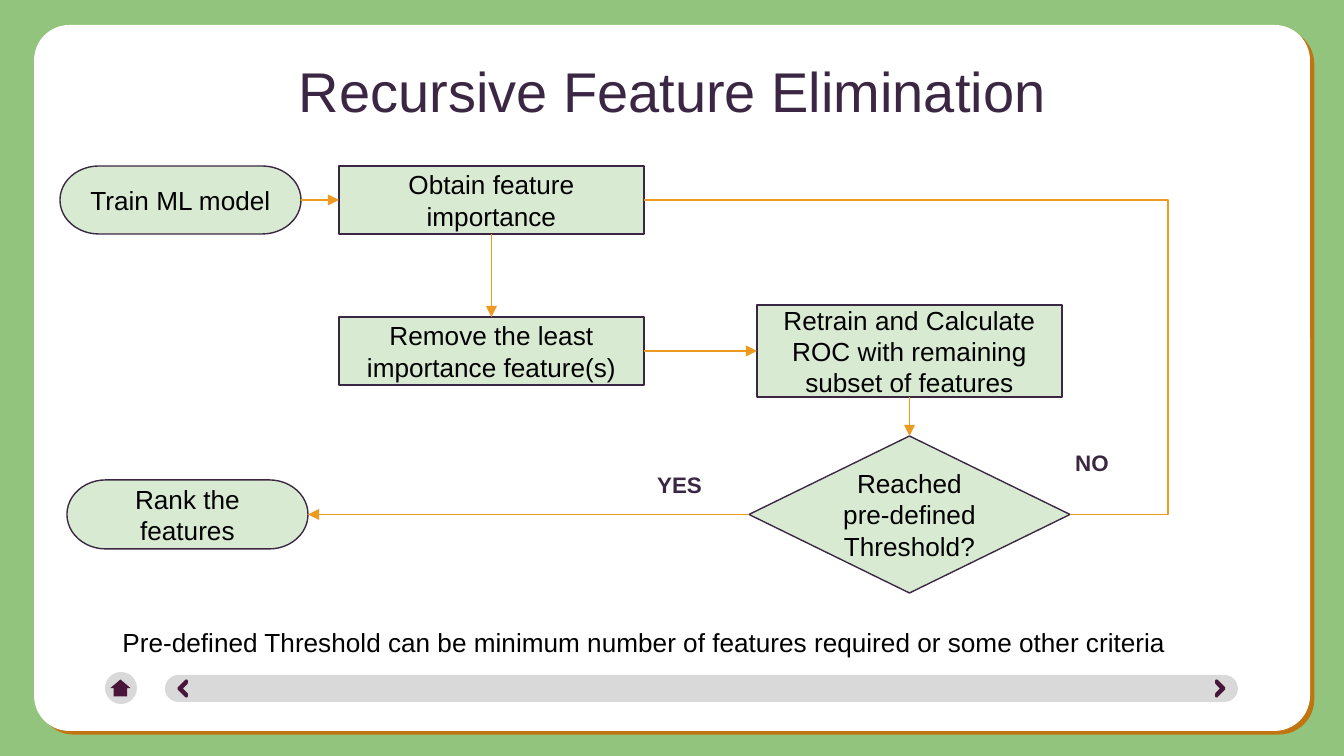
from dataclasses import dataclass

from lxml import etree
from pptx import Presentation
from pptx import util as u
from pptx.dml.color import RGBColor
from pptx.enum import shapes, text
from pptx.oxml import ns

SHAPE = shapes.MSO_SHAPE
TOP, LEFT, BOTTOM, RIGHT = range(4)


@dataclass(frozen=True)
class Theme:
    font: str = "Arial"
    page: str = "93C47D"
    card: str = "FFFFFF"
    shadow: str = "C17511"
    nav: str = "D9D9D9"
    icon: str = "47163A"
    node: str = "D9EAD3"
    dark: str = "3B2743"
    arrow: str = "ED9A20"
    ink: str = "000000"
    title_size: int = 30
    body_size: int = 14
    label_size: int = 12
    thin: float = 0.75
    thick: float = 1.5
    inset: float = 0.1


def px(n):
    """Convert pixels to EMU at 134.4 pixels per inch."""
    return u.Emu(round(n * 914400 / 134.4))


def child(parent, tag, **attrs):
    return etree.SubElement(parent, ns.qn(tag), attrs)


class Deck:
    def __init__(self, theme):
        self.theme = theme
        self.prs = Presentation()
        self.prs.slide_width, self.prs.slide_height = px(1344), px(756)
        self.s = self.prs.slides.add_slide(self.prs.slide_layouts[6])
        fill = self.s.background.fill
        fill.solid()
        fill.fore_color.rgb = RGBColor.from_string(theme.page)

    def shape(self, kind, box, fill, line=None, width=0.75, adj=(), rot=0):
        sp = self.s.shapes.add_shape(kind, *map(px, box))
        sp.shadow.inherit = False
        sp.fill.solid()
        sp.fill.fore_color.rgb = RGBColor.from_string(fill)
        if line:
            sp.line.color.rgb = RGBColor.from_string(line)
            sp.line.width = u.Pt(width)
        else:
            sp.line.fill.background()
        for i, value in enumerate(adj):
            sp.adjustments[i] = value
        sp.rotation = rot
        return sp

    def drop_shadow(self, sp, color):
        effects = sp._element.spPr.find(ns.qn("a:effectLst"))
        shadow = child(effects, "a:outerShdw", blurRad="0", dist="38100",
                       dir="2400000", algn="bl", rotWithShape="0")
        child(shadow, "a:srgbClr", val=color)

    def set_text(self, sp, words, size, color, bold=False,
                 align=text.PP_ALIGN.CENTER, anchor=text.MSO_ANCHOR.TOP):
        tf = sp.text_frame
        tf.word_wrap = True
        tf.vertical_anchor = anchor
        tf.margin_left = tf.margin_right = u.Inches(self.theme.inset)
        tf.margin_top = tf.margin_bottom = u.Inches(self.theme.inset)
        p = tf.paragraphs[0]
        p.text = words
        p.alignment = align
        p.font.name, p.font.size, p.font.bold = self.theme.font, u.Pt(size), bold
        p.font.color.rgb = RGBColor.from_string(color)

    def textbox(self, box, words, size, color, **style):
        sp = self.s.shapes.add_textbox(*map(px, box))
        self.set_text(sp, words, size, color, **style)

    def label(self, x, y, words):
        self.textbox((x, y, 82, 47), words, self.theme.label_size,
                     self.theme.dark, bold=True, align=text.PP_ALIGN.LEFT)

    def node(self, kind, box, words):
        t = self.theme
        sp = self.shape(kind, box, t.node, t.dark, t.thin)
        self.set_text(sp, words, t.body_size, t.ink, anchor=text.MSO_ANCHOR.MIDDLE)
        return sp

    def connect(self, start, start_side, end, end_side, bend=None):
        kind = shapes.MSO_CONNECTOR.ELBOW if bend else shapes.MSO_CONNECTOR.STRAIGHT
        cx = self.s.shapes.add_connector(kind, 0, 0, 0, 0)
        cx.begin_connect(start, start_side)
        cx.end_connect(end, end_side)
        cx.line.color.rgb = RGBColor.from_string(self.theme.arrow)
        cx.line.width = u.Pt(self.theme.thin)
        sp_pr = cx._element.spPr
        child(sp_pr, "a:effectLst")
        if bend:
            guides = sp_pr.find(ns.qn("a:prstGeom")).get_or_add_avLst()
            child(guides, "a:gd", name="adj1", fmla=f"val {round(bend * 100000)}")
        else:
            child(sp_pr.find(ns.qn("a:ln")), "a:tailEnd", type="triangle")


def main():
    t = Theme()
    d = Deck(t)

    # Card
    card = d.shape(SHAPE.ROUNDED_RECTANGLE, (34, 25, 1276, 706), t.card, adj=[0.05])
    d.drop_shadow(card, t.shadow)

    # Navigation bar
    d.shape(SHAPE.ROUNDED_RECTANGLE, (165, 675, 1073, 27), t.nav, adj=[0.5])
    for x, rot in ((181, 315), (1211, 135)):
        d.shape(SHAPE.HALF_FRAME, (x, 683, 11, 11), t.icon, t.icon, t.thick,
                adj=[0.15, 0.15], rot=rot)
    d.shape(SHAPE.OVAL, (105, 672, 32, 32), t.nav)
    d.shape(SHAPE.RIGHT_ARROW, (112, 678, 17, 20), t.icon, adj=[0.67, 0.5], rot=270)

    # Title
    d.textbox((106, 43, 1133, 85), "Recursive Feature Elimination",
              t.title_size, t.dark)

    # Flowchart steps
    train = d.node(SHAPE.FLOWCHART_TERMINATOR, (60, 166, 241, 68), "Train ML model")
    obtain = d.node(SHAPE.RECTANGLE, (339, 166, 305, 68), "Obtain feature importance")
    remove = d.node(SHAPE.RECTANGLE, (339, 317, 305, 68),
                    "Remove the least importance feature(s)")
    retrain = d.node(SHAPE.RECTANGLE, (757, 305, 305, 92),
                     "Retrain and Calculate ROC with remaining subset of features")
    check = d.node(SHAPE.FLOWCHART_DECISION, (749, 436, 321, 157),
                   "Reached pre-defined Threshold?")
    rank = d.node(SHAPE.FLOWCHART_TERMINATOR, (67, 480, 241, 69), "Rank the features")

    # Flow
    d.connect(train, RIGHT, obtain, LEFT)
    d.connect(obtain, BOTTOM, remove, TOP)
    d.connect(remove, RIGHT, retrain, LEFT)
    d.connect(retrain, BOTTOM, check, TOP)
    d.connect(check, LEFT, rank, RIGHT)
    d.connect(obtain, RIGHT, check, RIGHT, bend=1.23)

    # Branch labels and footnote
    d.label(644, 458, "YES")
    d.label(1062, 436, "NO")
    d.textbox((78, 613, 1133, 59),
              "Pre-defined Threshold can be minimum number of features "
              "required or some other criteria", t.body_size, t.ink)

    d.prs.save("out.pptx")


if __name__ == "__main__":
    main()
